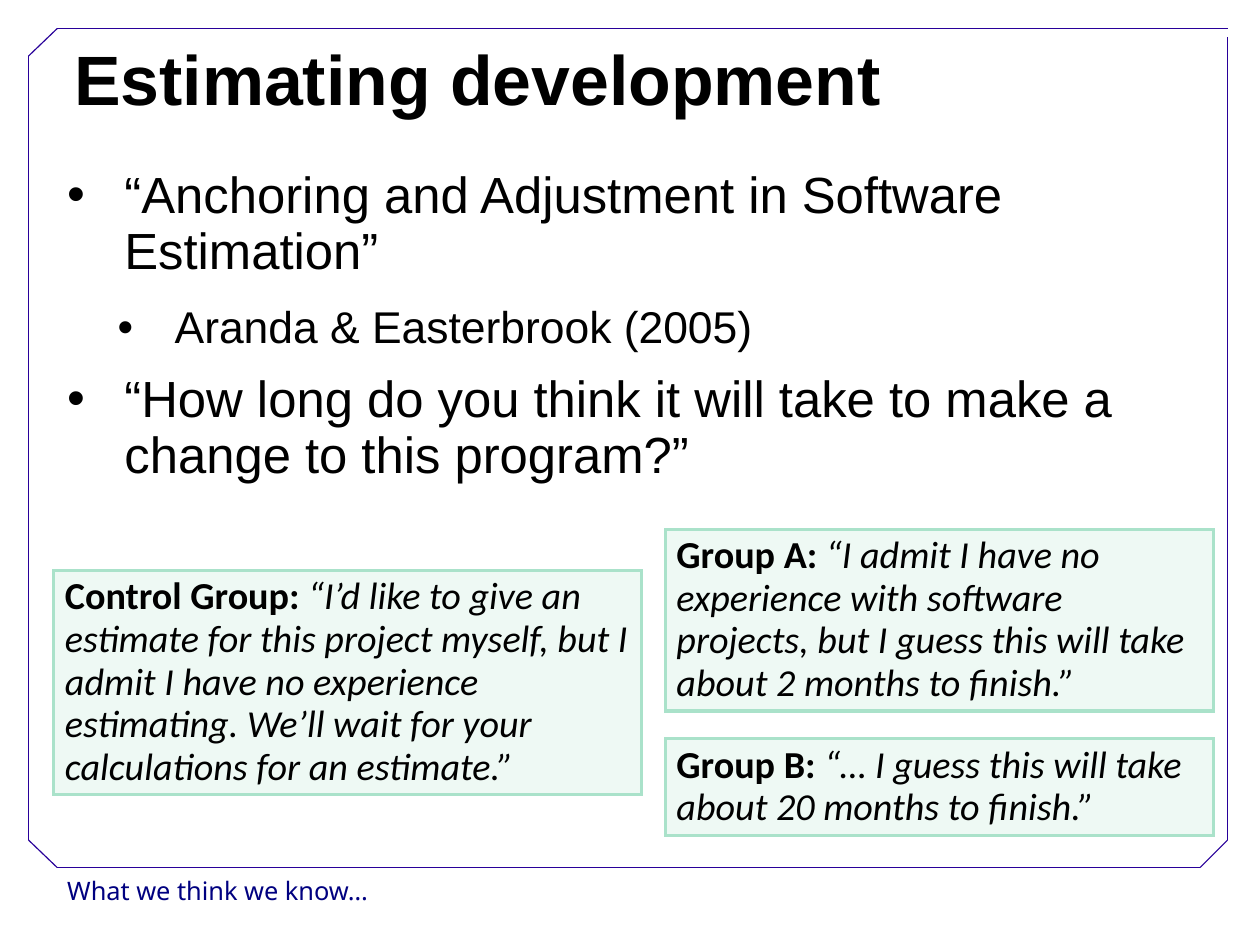
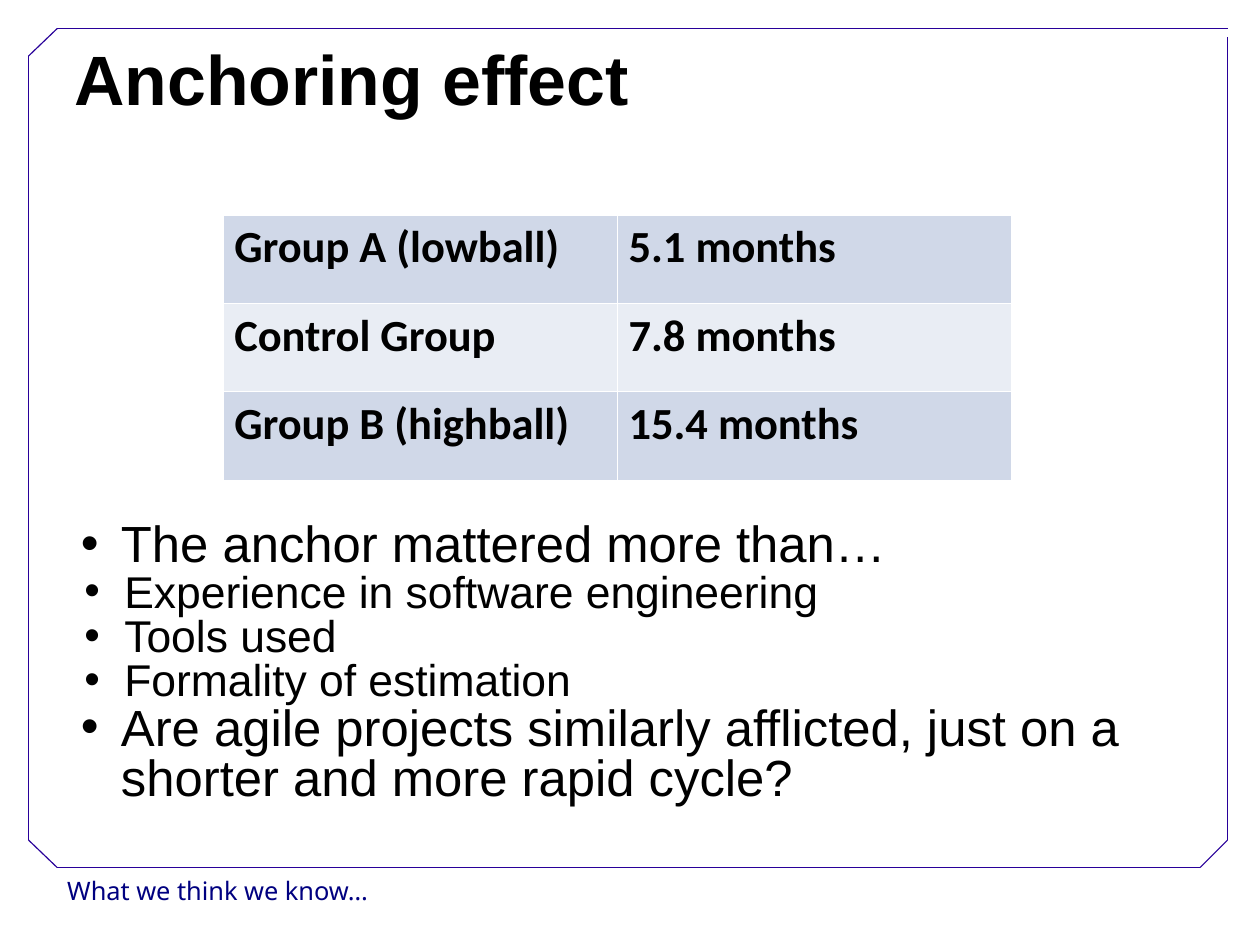
from lxml import etree
from pptx import Presentation
from pptx.dml.color import RGBColor
from pptx.enum import shapes, text
from pptx.oxml import ns
from pptx.util import Cm, Inches, Pt

BLACK, WHITE, FRAME, NAVY = "000000", "FFFFFF", "280099", "000080"
CARD_FILL, CARD_LINE = "EEF9F4", "AAE2CA"
ROW_FILLS = ("D0D8E8", "E9EDF4")
BODY, ACCENT, FOOTER = "Arial", "Calibri", "Noto Sans"
BODY_SIZES = (32, 28)  # by bullet level
FRAME_LINES = (
    (0.5, 7.59, 10.5, 7.59), (0.25, 7.35, 0.25, 0.49), (0.5, 0.25, 10.74, 0.25),
    (10.74, 7.35, 10.74, 0.32), (0.25, 0.49, 0.5, 0.25),
    (10.5, 7.59, 10.74, 7.35), (0.25, 7.35, 0.5, 7.59),
)


def rgb(value):
    return RGBColor.from_string(value)


def sub(parent, tag, **attrs):
    """Add a DrawingML child element."""
    return etree.SubElement(parent, ns.qn("a:" + tag), attrs)


def add_run(p, words, font, size, color=BLACK, bold=False, italic=False):
    r = p.add_run()
    r.text = words
    f = r.font
    f.name, f.size, f.bold, f.italic = font, Pt(size), bold, italic
    f.color.rgb = rgb(color)


def add_text(s, box):
    tf = s.shapes.add_textbox(*map(Inches, box)).text_frame
    tf.word_wrap = True
    return tf


def add_bullets(s, box, items, indents, spacing, after=(0, 0)):
    """Items are (level, words); indents hold (bullet, text) offsets by level."""
    tf = add_text(s, box)
    for i, (level, words) in enumerate(items):
        p = tf.add_paragraph() if i else tf.paragraphs[0]
        p.level, p.line_spacing, p.space_after = level, spacing, Pt(after[level])
        bullet, start = indents[level]
        pPr = p._p.get_or_add_pPr()
        pPr.set("marL", str(Inches(start)))
        pPr.set("indent", str(Inches(bullet - start)))
        sub(sub(pPr, "buClr"), "srgbClr", val=BLACK)
        sub(pPr, "buFont", typeface=BODY)
        sub(pPr, "buChar", char="•")
        add_run(p, words, BODY, BODY_SIZES[level])


def add_frame(s):
    for ends in FRAME_LINES:
        line = s.shapes.add_connector(shapes.MSO_CONNECTOR.STRAIGHT, *map(Inches, ends))
        line.line.color.rgb = rgb(FRAME)
        line.line.width = Pt(0.75)
        sub(line._element.spPr, "effectLst")


def add_slide(prs, title):
    s = prs.slides.add_slide(prs.slide_layouts[6])
    p = add_text(s, (0.49, 7.6, 3.2, 0.4)).paragraphs[0]
    p.line_spacing = 1.02
    add_run(p, "What we think we know…", FOOTER, 16, NAVY)
    add_frame(s)
    p = add_text(s, (0.55, 0.33, 9.92, 0.84)).paragraphs[0]
    p.line_spacing = 0.93
    add_run(p, title, BODY, 44, bold=True)
    return s


def add_card(s, box, group, quote):
    sp = s.shapes.add_shape(shapes.MSO_SHAPE.RECTANGLE, *map(Inches, box))
    sp.shadow.inherit = False
    sp.fill.solid()
    sp.fill.fore_color.rgb = rgb(CARD_FILL)
    sp.line.color.rgb = rgb(CARD_LINE)
    sp.line.width = Pt(2)
    sub(sp._element.spPr.find(ns.qn("a:ln")), "miter", lim="800000")
    tf = sp.text_frame
    tf.word_wrap = True
    tf.vertical_anchor = text.MSO_ANCHOR.TOP
    p = tf.paragraphs[0]
    p.alignment, p.line_spacing = text.PP_ALIGN.LEFT, 0.93
    add_run(p, group + ": ", ACCENT, 24, bold=True)
    add_run(p, quote, ACCENT, 24, italic=True)


def set_borders(cell):
    tcPr = cell._tc.get_or_add_tcPr()
    for i, side in enumerate(("lnL", "lnR", "lnT", "lnB")):
        ln = etree.Element(ns.qn("a:" + side), w=str(Pt(0.45)))
        sub(sub(ln, "solidFill"), "srgbClr", val=WHITE)
        tcPr.insert(i, ln)


def add_results(s, box, rows):
    tbl = s.shapes.add_table(len(rows), len(rows[0]), *map(Inches, box)).table
    tbl.first_row = False
    for i, row in enumerate(rows):
        for j, words in enumerate(row):
            cell = tbl.cell(i, j)
            cell.fill.solid()
            cell.fill.fore_color.rgb = rgb(ROW_FILLS[i % 2])
            set_borders(cell)
            add_run(cell.text_frame.paragraphs[0], words, ACCENT, 28, bold=True)


def estimating_slide(prs):
    s = add_slide(prs, "Estimating development")
    add_bullets(s, (0.49, 1.42, 10, 3), (
        (0, "“Anchoring and Adjustment in Software Estimation”"),
        (1, "Aranda & Easterbrook (2005)"),
        (0, "“How long do you think it will take to make a change to this program?”"),
    ), ((0, 0.5), (0.44, 0.94)), 0.93, (14.3, 11.4))
    add_card(s, (0.47, 4.99, 5.14, 1.96), "Control Group",
             "“I’d like to give an estimate for this project myself, but I admit I have "
             "no experience estimating. We’ll wait for your calculations for an estimate.”")
    add_card(s, (5.82, 4.63, 4.8, 1.59), "Group A",
             "“I admit I have no experience with software projects, but I guess this "
             "will take about 2 months to finish.”")
    add_card(s, (5.82, 6.46, 4.8, 0.85), "Group B",
             "“… I guess this will take about 20 months to finish.”")


def anchoring_slide(prs):
    s = add_slide(prs, "Anchoring effect")
    add_bullets(s, (0.49, 4.52, 10, 2.8), (
        (0, "The anchor mattered more than…"),
        (1, "Experience in software engineering"),
        (1, "Tools used"),
        (1, "Formality of estimation"),
        (0, "Are agile projects similarly afflicted, just on a shorter and more rapid cycle?"),
    ), ((0.12, 0.47), (0.15, 0.5)), 0.83)
    add_results(s, (1.95, 1.88, 6.9, 2.32), (
        ("Group A (lowball)", "5.1 months"),
        ("Control Group", "7.8 months"),
        ("Group B (highball)", "15.4 months"),
    ))


def main():
    prs = Presentation()
    prs.slide_width, prs.slide_height = Cm(28), Cm(21)
    estimating_slide(prs)
    anchoring_slide(prs)
    prs.save("out.pptx")


if __name__ == "__main__":
    main()
